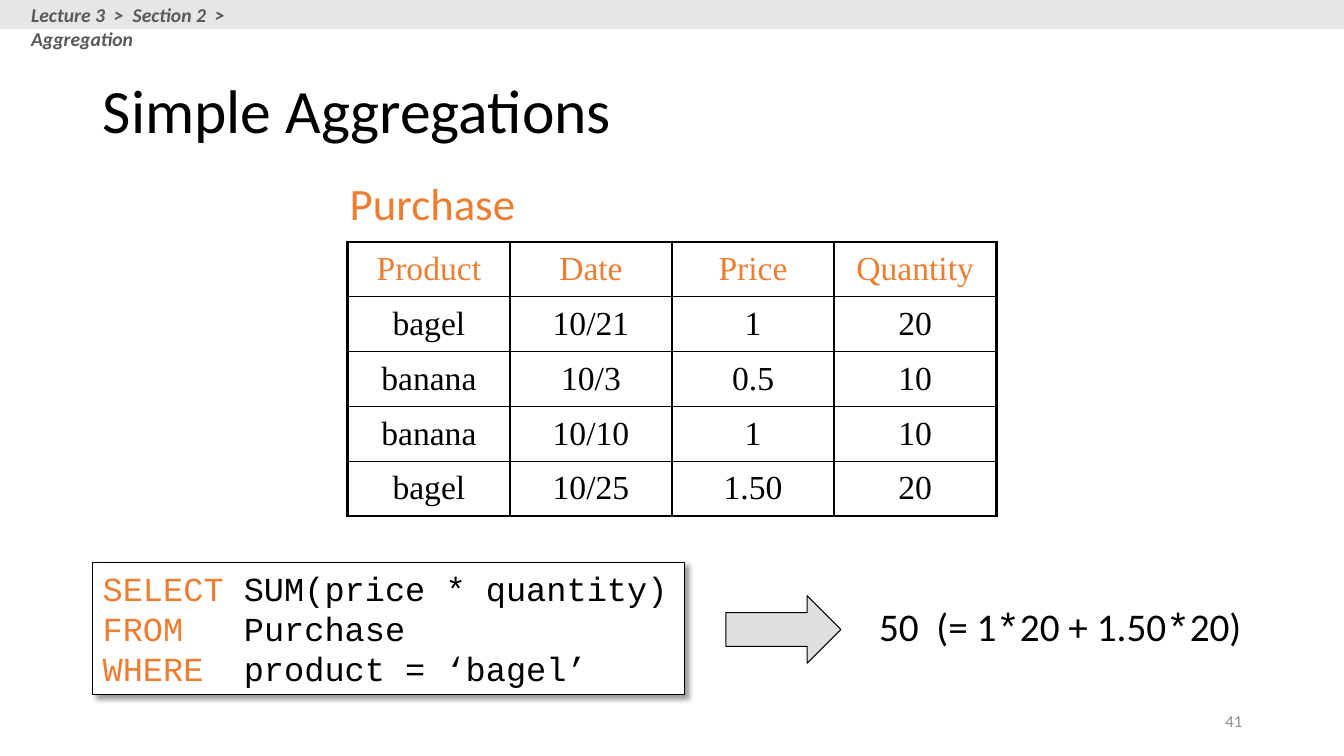
from lxml import etree
from pptx import Presentation
from pptx.dml.color import RGBColor
from pptx.enum.shapes import MSO_SHAPE as SHAPE
from pptx.enum.text import MSO_ANCHOR as ANCHOR, PP_ALIGN as ALIGN
from pptx.oxml import parse_xml
from pptx.oxml.ns import nsdecls, qn
from pptx.util import Inches, Pt

COLORS = {"black": "000000", "white": "FFFFFF", "orange": "ED7D31", "bar": "E7E6E6",
          "arrow": "C0C0C0", "crumb": "595959", "number": "8C8C8C"}


def set_font(font, size, color, name="Calibri"):
    font.size, font.name = Pt(size), name
    font.color.rgb = RGBColor.from_string(COLORS[color])


def add_block(left, top, width, height, fill=None, preset=None, line=False):
    box = [Inches(v) for v in (left, top, width, height)]
    if preset is None:
        return slide.shapes.add_textbox(*box)
    sp = slide.shapes.add_shape(preset, *box)
    sp.shadow.inherit = False
    sp.fill.solid()
    sp.fill.fore_color.rgb = RGBColor.from_string(COLORS[fill])
    if line:
        sp.line.color.rgb = RGBColor.from_string(COLORS["black"])
        sp.line.width = Pt(0.75)
    else:
        sp.line.fill.background()
    return sp


prs = Presentation()
prs.slide_width, prs.slide_height = Inches(13.33), Inches(7.5)
slide = prs.slides.add_slide(prs.slide_layouts[5])

# Title
title = slide.shapes.title
title.left, title.top = Inches(0.92), Inches(0.4)
title.width, title.height = Inches(11.5), Inches(1.45)
title.text_frame.text = "Simple Aggregations"
title.text_frame.vertical_anchor = ANCHOR.MIDDLE
p = title.text_frame.paragraphs[0]
p.alignment, p.line_spacing = ALIGN.LEFT, 0.9
set_font(p.font, 44, "black")

# Header bar
add_block(0, 0, 13.33, 0.29, "bar", SHAPE.RECTANGLE)

# Single-line labels: box, text, size, colour, wrap
labels = [
    ((0.21, -0.02, 3.17, 0.34), "Lecture 3  >  Section 2  >  Aggregation", 14, "crumb", True),
    ((3.37, 1.69, 1.86, 0.64), "Purchase", 32, "orange", False),
    ((9.42, 6.95, 3, 0.4), "41", 12, "number", True),
]
for box, text, size, color, wrap in labels:
    tf = add_block(*box).text_frame
    tf.word_wrap = wrap
    p = tf.paragraphs[0]
    p.text = text
    set_font(p.font, size, color)
    if color == "crumb":
        p.font.bold = p.font.italic = True
    elif color == "number":
        p.alignment = ALIGN.RIGHT
        tf.vertical_anchor = ANCHOR.MIDDLE

# Purchase table: thick outer frame, thin inner lines
rows = [
    ("Product", "Date", "Price", "Quantity"),
    ("bagel", "10/21", "1", "20"),
    ("banana", "10/3", "0.5", "10"),
    ("banana", "10/10", "1", "10"),
    ("bagel", "10/25", "1.50", "20"),
]
table = slide.shapes.add_table(5, 4, Inches(3.45), Inches(2.4), Inches(6.43), Inches(2.72)).table
table.first_row = table.horz_banding = False
for r, row in enumerate(rows):
    for c, text in enumerate(row):
        cell = table.cell(r, c)
        cell.text = text
        cell.vertical_anchor = ANCHOR.MIDDLE
        p = cell.text_frame.paragraphs[0]
        p.alignment = ALIGN.CENTER
        set_font(p.font, 24, "black" if r else "orange", "Times New Roman")
        outer = {"L": c == 0, "R": c == 3, "T": r == 0, "B": r == 4}
        for side, thick in outer.items():
            cell._tc.get_or_add_tcPr().append(parse_xml(
                f'<a:ln{side} {nsdecls("a")} w="{Pt(2.25 if thick else 1)}"><a:solidFill>'
                f'<a:srgbClr val="{COLORS["black"]}"/></a:solidFill></a:ln{side}>'))
        cell.fill.background()

# SQL query with a soft shadow
query = add_block(0.92, 5.58, 5.87, 1.31, "white", SHAPE.RECTANGLE, line=True)
effects = query._element.spPr.find(qn("a:effectLst"))
effects.append(parse_xml(
    f'<a:outerShdw {nsdecls("a")} blurRad="{Pt(4)}" dist="{Pt(3)}" dir="2700000" algn="tl" '
    f'rotWithShape="0"><a:srgbClr val="{COLORS["black"]}"><a:alpha val="40000"/></a:srgbClr>'
    '</a:outerShdw>'))
tf = query.text_frame
tf.word_wrap, tf.vertical_anchor = True, ANCHOR.TOP
clauses = [("SELECT", " SUM(price * quantity)"), ("FROM", "   Purchase"),
           ("WHERE ", " product = ‘bagel’")]
for i, clause in enumerate(clauses):
    p = tf.add_paragraph() if i else tf.paragraphs[0]
    p.alignment = ALIGN.LEFT
    for text, color in zip(clause, ("orange", "black")):
        run = p.add_run()
        run.text = text
        set_font(run.font, 24, color, "Courier New")

# Half-transparent arrow to the result
arrow = add_block(7.2, 5.91, 1.14, 0.67, "arrow", SHAPE.RIGHT_ARROW, line=True)
fill_color = arrow._element.spPr.find(qn("a:solidFill"))[0]
etree.SubElement(fill_color, qn("a:alpha")).set("val", "50000")

# Result
tf = add_block(8.62, 5.93, 3.84, 0.57).text_frame
tf.word_wrap = False
for text in ("50  (= 1", "*", "20 + 1.50", "*", "20)"):
    run = tf.paragraphs[0].add_run()
    run.text = text
    set_font(run.font, 28, "black", "Courier New" if text == "*" else "Calibri")

prs.save("out.pptx")
